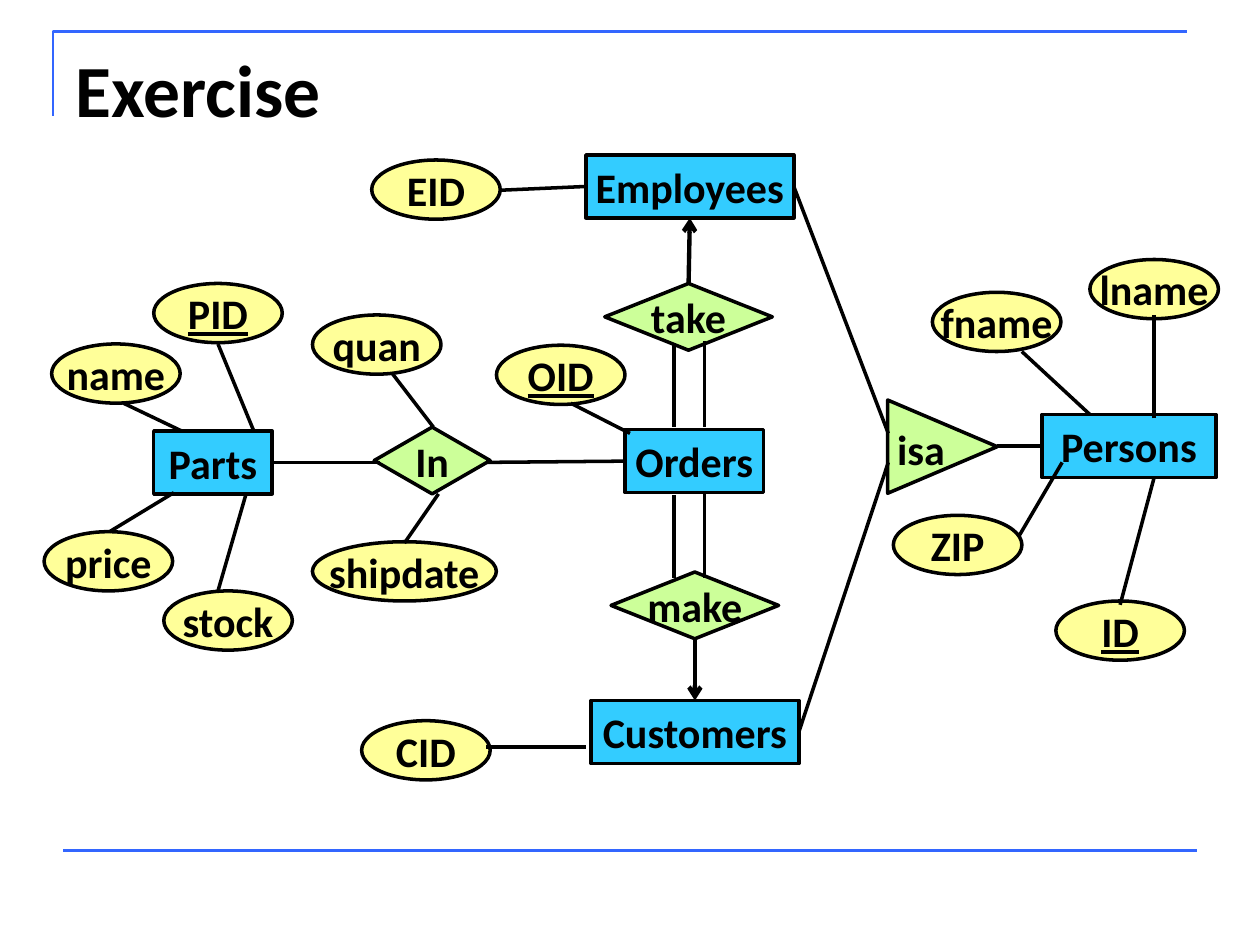
import collections

import pptx
import pptx.dml.color
import pptx.enum.shapes
import pptx.enum.text
import pptx.oxml
import pptx.oxml.ns
import pptx.util

COLORS = {"ink": "000000", "rule": "3366FF", "entity": "33CCFF",
          "attribute": "FFFF99", "relation": "CCFF99"}
FONT = "Calibri"
KINDS = pptx.enum.shapes.MSO_SHAPE
ALIGN = pptx.enum.text.PP_ALIGN
ANCHOR = pptx.enum.text.MSO_ANCHOR
TOP, LEFT, BOTTOM, RIGHT = range(4)

# The grid has 100 columns and 75 rows; boxes are given in its cells
Box = collections.namedtuple("Box", "left top width height")
OVAL = (10.2, 4.7)
ENTITY_HEIGHT = 5

deck = pptx.Presentation()
deck.slide_width = pptx.util.Inches(10)
deck.slide_height = pptx.util.Inches(7.5)
COLUMN = deck.slide_width / 100
ROW = deck.slide_height / 75


def rgb(name):
    return pptx.dml.color.RGBColor.from_string(COLORS[name])


def spot(box, col, row):
    """Turn a grid position inside a box into slide lengths."""
    return round((box.left + col) * COLUMN), round((box.top + row) * ROW)


def write(frame, text, size=24, align=ALIGN.CENTER, anchor=ANCHOR.MIDDLE,
          underline=None, wrap=False):
    frame.word_wrap = wrap
    frame.auto_size = pptx.enum.text.MSO_AUTO_SIZE.NONE
    frame.vertical_anchor = anchor
    paragraph = frame.paragraphs[0]
    paragraph.alignment = align
    run = paragraph.add_run()
    run.text = text
    run.font.name = FONT
    run.font.size = pptx.util.Pt(size)
    run.font.bold = True
    run.font.underline = underline
    run.font.color.rgb = rgb("ink")


def node(slide, box, kind, color, col, row, width, height):
    shape = slide.shapes.add_shape(kind, *spot(box, col, row),
                                   round(width * COLUMN), round(height * ROW))
    shape.shadow.inherit = False
    shape.fill.solid()
    shape.fill.fore_color.rgb = rgb(color)
    shape.line.color.rgb = rgb("ink")
    shape.line.width = pptx.util.Pt(2)
    return shape


def entity(slide, box, text, col, row, width):
    shape = node(slide, box, KINDS.RECTANGLE, "entity", col, row, width, ENTITY_HEIGHT)
    write(shape.text_frame, text)
    return shape


def attribute(slide, box, text, col, row, width=OVAL[0], key=None):
    shape = node(slide, box, KINDS.OVAL, "attribute", col, row, width, OVAL[1])
    write(shape.text_frame, text, underline=key)


def relation(slide, box, text, col, row, width):
    shape = node(slide, box, KINDS.DIAMOND, "relation", col, row, width, 5.3)
    write(shape.text_frame, text)
    return shape


def link(slide, box, start, end, color="ink", width=2, arrow=False):
    """Draw a line; each end is a (col, row) point or a (shape, side) pair."""
    joined = [not isinstance(tip[0], (int, float)) for tip in (start, end)]
    tips = [(0, 0) if glued else spot(box, *tip)
            for tip, glued in zip((start, end), joined)]
    line = slide.shapes.add_connector(
        pptx.enum.shapes.MSO_CONNECTOR.STRAIGHT, *tips[0], *tips[1])
    if joined[0]:
        line.begin_connect(*start)
    if joined[1]:
        line.end_connect(*end)
    line.line.color.rgb = rgb(color)
    line.line.width = pptx.util.Pt(width)
    properties = line._element.spPr
    if arrow:
        tail = pptx.oxml.parse_xml(
            f'<a:tailEnd {pptx.oxml.ns.nsdecls("a")} type="arrow"/>')
        line.line._get_or_add_ln().append(tail)
    properties.append(pptx.oxml.parse_xml(
        f'<a:effectLst {pptx.oxml.ns.nsdecls("a")}/>'))


def draw_frame(slide, box):
    # Corner rule above, straight rule below
    outline = slide.shapes.build_freeform(*spot(box, 0, 6.7), scale=1.0)
    outline.add_line_segments([spot(box, 0, 0), spot(box, box.width, 0)], close=False)
    corner = outline.convert_to_shape()
    corner.shadow.inherit = False
    corner.fill.background()
    corner.line.color.rgb = rgb("rule")
    corner.line.width = pptx.util.Pt(1.5)
    link(slide, box, (0.8, box.height), (box.width + 0.8, box.height),
         color="rule", width=1.5)


def draw_title(slide, box, text):
    title = slide.shapes.title
    title.left, title.top = spot(box, 0, 0)
    title.width, title.height = round(box.width * COLUMN), round(box.height * ROW)
    write(title.text_frame, text, size=42, align=ALIGN.LEFT,
          anchor=ANCHOR.TOP, wrap=True)


def draw_parts(slide, box):
    parts = entity(slide, box, "Parts", 8.7, 11.7, 9.4)
    attribute(slide, box, "PID", 8.7, 0, key=True)
    for text, col, row in (("name", 0.6, 4.8), ("price", 0, 19.7), ("stock", 9.5, 24.4)):
        attribute(slide, box, text, col, row)
    for start, end in (((13.8, 4.8), (16.6, 11.6)), ((10.3, 16.6), (5.2, 19.7)),
                       ((6.3, 9.5), (10.9, 11.7)), ((16, 16.8), (13.8, 24.4))):
        link(slide, box, start, end)
    return parts


def draw_order_lines(slide, box, parts, orders):
    # Relation between parts and orders
    relation(slide, box, "In", 4.9, 8.9, 9.2)
    attribute(slide, box, "quan", 0, 0)
    attribute(slide, box, "shipdate", 0, 18, width=14.6)
    link(slide, box, (13.8, 11.7), (orders, LEFT))
    link(slide, box, (parts, RIGHT), (5.4, 11.7))
    link(slide, box, (6.3, 4.6), (9.6, 8.9))
    link(slide, box, (7.3, 18.1), (10, 14.2))


def draw_orders(slide, box):
    orders = entity(slide, box, "Orders", 20.9, 21.8, 11)
    employees = entity(slide, box, "Employees", 17.8, 0, 16.5)
    customers = entity(slide, box, "Customers", 18.2, 43.3, 16.5)
    take = relation(slide, box, "take", 19.3, 10.2, 13.3)
    make = relation(slide, box, "make", 19.8, 33.1, 13.3)
    attribute(slide, box, "OID", 10.7, 15.1, key=True)
    attribute(slide, box, "EID", 0.8, 0.4)
    attribute(slide, box, "CID", 0, 44.9)
    link(slide, box, (16.6, 19.7), (21.3, 22.1))
    link(slide, box, (11, 2.8), (employees, LEFT))
    link(slide, box, (9.9, 47), (17.8, 47))
    # Double lines for total participation
    for col, top, bottom in ((24.8, 15, 21.6), (27.2, 14.8, 21.6),
                             (24.8, 27, 33.6), (27.2, 26.8, 33.6)):
        link(slide, box, (col, top), (col, bottom))
    link(slide, box, (take, TOP), (employees, BOTTOM), width=2.5, arrow=True)
    link(slide, box, (make, BOTTOM), (customers, TOP), width=2.5, arrow=True)
    return orders, employees, customers


def draw_persons(slide, box, employees, customers):
    persons = entity(slide, box, "Persons", 12.2, 12.3, 13.8)
    # Inheritance triangle, turned to point at Persons with level text
    isa = node(slide, box, KINDS.ISOSCELES_TRIANGLE, "relation", 0.6, 10.5, 7.4, 8.7)
    isa.rotation = 90
    frame = isa.text_frame
    frame.margin_left = frame.margin_right = frame.margin_top = frame.margin_bottom = 0
    frame._txBody.bodyPr.set("vert", "vert270")
    write(frame, " isa", align=ALIGN.LEFT, anchor=ANCHOR.TOP)
    for text, col, row, key in (("fname", 3.5, 2.6, None), ("lname", 16, 0, None),
                                ("ZIP", 0.4, 20.3, None), ("ID", 13.3, 27.1, True)):
        attribute(slide, box, text, col, row, key=key)
    link(slide, box, (employees, RIGHT), (0, 13.8))
    link(slide, box, (customers, RIGHT), (0, 16.1))
    link(slide, box, (8.6, 14.8), (persons, LEFT))
    for start, end in (((16, 12.3), (10.6, 7.3)), ((21.1, 12.6), (21.1, 4.4)),
                       ((10.4, 21.9), (13.8, 16.1)), ((18.4, 27.4), (21.1, 17.3))):
        link(slide, box, start, end)


def main():
    slide = deck.slides.add_slide(deck.slide_layouts[5])
    draw_frame(slide, Box(4.2, 2.5, 90, 65))
    draw_title(slide, Box(5, 3, 90, 12.5), "Exercise")
    orders, employees, customers = draw_orders(slide, Box(28.7, 12.3, 35, 50))
    parts = draw_parts(slide, Box(3.5, 22.5, 20, 30))
    draw_order_lines(slide, Box(24.8, 25, 15, 23), parts, orders)
    draw_persons(slide, Box(70.5, 20.6, 27, 32), employees, customers)
    deck.save("out.pptx")


if __name__ == "__main__":
    main()
